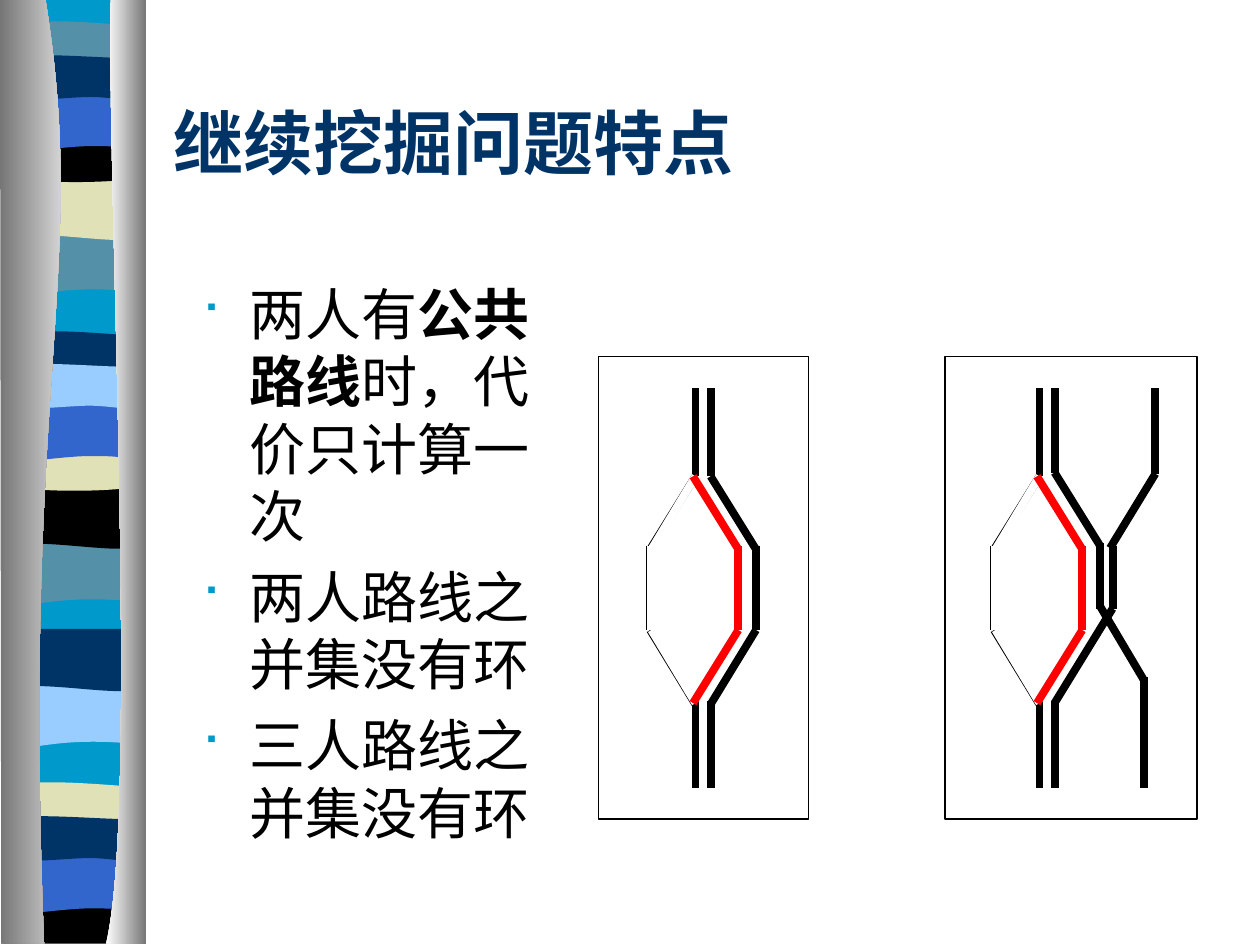
from lxml import etree
from pptx import Presentation
from pptx.dml.color import RGBColor
from pptx.enum.shapes import MSO_CONNECTOR, MSO_SHAPE
from pptx.enum.text import MSO_ANCHOR, MSO_AUTO_SIZE, PP_ALIGN
from pptx.oxml.ns import qn
from pptx.util import Inches, Pt

STRAIGHT = MSO_CONNECTOR.STRAIGHT
RECT = MSO_SHAPE.RECTANGLE
TOP, MIDDLE = MSO_ANCHOR.TOP, MSO_ANCHOR.MIDDLE
LEFT = PP_ALIGN.LEFT
NO_FIT = MSO_AUTO_SIZE.NONE

NAVY, SKY, TEAL, SAND = "003366", "0099CC", "5490A8", "E1E1B7"
BLUE, PALE, BLACK, WHITE = "3366CC", "99CCFF", "000000", "FFFFFF"
RED, GREY = "FF0000", "767676"

BAND_SHAPES = {
    "swell": [(1.08, 0), (1.08, 0.47), (0.33, 0.39, 0.18, 0.55, 0, 0.47), (0, 0)],
    "wave": [(1.08, 0), (1.08, 0.47), (0.9, 0.55, 0.33, 0.41, 0, 0.47), (0, 0)],
    "lens": [(1.08, 0), (1.08, 0.24), (0.9, 0.28, 0.18, 0.28, 0, 0.24), (0, 0),
             (0.06, -0.05, 0.23, -0.04, 0.41, -0.04),
             (0.59, -0.04, 0.94, -0.01, 1.08, 0)],
    "dip": [(1.08, 0), (1.08, 0.32), (0.9, 0.38, 0.18, 0.38, 0, 0.32), (0, 0),
            (0.66, 0.05, 0.85, 0, 1.08, 0)],
    "arch": [(1.08, 0), (1.08, 0.47), (0.91, 0.42, 0.84, 0.42, 0.66, 0.42),
             (0.48, 0.42, 0.16, 0.47, 0, 0.47), (0, 0)],
    "ripple": [(1.08, 0), (1.08, 0.31), (1.01, 0.36, 0.84, 0.31, 0.66, 0.31),
               (0.48, 0.31, 0.11, 0.36, 0, 0.31), (0, 0),
               (0.15, -0.05, 0.73, 0, 0.91, 0), (1.09, 0, 1.05, 0, 1.08, 0)],
    "foot": [(1.08, 0), (1.08, 0.37), (0.01, 0.37), (0, 0),
             (0.66, 0.05, 0.85, 0, 1.08, 0)],
}
BANDS = [
    ("swell", 0.06, 1.85, TEAL), ("wave", 0.06, 1.41, SAND),
    ("lens", 0.06, 0.21, TEAL), ("dip", 0.06, 1.08, BLACK),
    ("arch", 0.06, 0.74, BLUE), ("ripple", 0.06, 0.46, NAVY),
    ("swell", 0.05, 4.31, TEAL), ("wave", 0.05, 3.86, BLACK),
    ("lens", 0.05, 2.67, NAVY), ("dip", 0.05, 3.53, SAND),
    ("arch", 0.05, 3.2, BLUE), ("ripple", 0.05, 2.91, PALE),
    ("swell", 0.06, 5.44, PALE), ("wave", 0.06, 4.99, NAVY),
    ("lens", 0.05, 6.25, SAND), ("foot", 0.05, 7.12, BLACK),
    ("arch", 0.05, 6.79, BLUE), ("ripple", 0.05, 6.5, NAVY),
]
LEFT_COLUMN = [(0.36, -0.01), (0.71, 2.16, 0.17, 2.96, 0.35, 7.49),
               (0.01, 7.49), (0, -0.01)]
RIGHT_COLUMN = [(0.88, -0.01), (0.84, 1.25, 1.11, 6.46, 0.84, 7.49),
                (1.16, 7.49), (1.16, 0)]

BULLETS = [
    [("两人有", False), ("公共路线", True), ("时，代价只计算一次", False)],
    [("两人路线之并集没有环", False)],
    [("三人路线之并集没有环", False)],
]


def rgb(color):
    return RGBColor.from_string(color)


class Deck:
    title_font = {"name": "Roboto Condensed", "size": Pt(40), "bold": True}
    body_font = {"name": "Arial", "size": Pt(32)}
    frame_width, route_width = Pt(0.75), Pt(4.5)

    def __init__(self, prs):
        self.s = prs.slides.add_slide(prs.slide_layouts[5])

    def font(self, font, values, color):
        for name, value in values.items():
            setattr(font, name, value)
        font.color.rgb = rgb(color)

    def place(self, sp, x, y, w, h):
        values = {"left": x, "top": y, "width": w, "height": h}
        for name, value in values.items():
            setattr(sp, name, Inches(value))

    def frame_text(self, tf, anchor):
        values = {"word_wrap": True, "auto_size": NO_FIT, "vertical_anchor": anchor}
        for name, value in values.items():
            setattr(tf, name, value)

    def title(self, text, x, y, w, h):
        sp = self.s.shapes.title
        self.place(sp, x, y, w, h)
        self.frame_text(sp.text_frame, MIDDLE)
        p = sp.text_frame.paragraphs[0]
        p.alignment = LEFT
        r = p.add_run()
        r.text = text
        self.font(r.font, self.title_font, NAVY)

    def bullets(self, items, x, y, w, h):
        sp = self.s.shapes.add_textbox(Inches(x), Inches(y), Inches(w), Inches(h))
        tf = sp.text_frame
        self.frame_text(tf, TOP)
        for i, runs in enumerate(items):
            p = tf.add_paragraph() if i else tf.paragraphs[0]
            pPr = p._p.get_or_add_pPr()
            pPr.set("marL", str(Inches(0.38)))
            pPr.set("indent", str(Inches(-0.38)))
            color = etree.SubElement(pPr, qn("a:buClr"))
            etree.SubElement(color, qn("a:srgbClr"), val=SKY)
            etree.SubElement(pPr, qn("a:buSzPct"), val="80000")
            etree.SubElement(pPr, qn("a:buFont"), typeface="Wingdings", charset="2")
            etree.SubElement(pPr, qn("a:buChar"), char="■")
            p.space_before = Pt(8 if i else 0)
            for text, bold in runs:
                r = p.add_run()
                r.text = text
                self.font(r.font, {**self.body_font, "bold": bold}, BLACK)

    def outline(self, outline, colors, x=0, y=0):
        points = [(Inches(x + item[i]), Inches(y + item[i + 1]))
                  for item in outline for i in range(0, len(item), 2)]
        builder = self.s.shapes.build_freeform(*points[0])
        builder.add_line_segments(points[1:], close=False)
        sp = builder.convert_to_shape()
        self.curve(sp, outline)
        sp.shadow.inherit = False
        sp.line.fill.background()
        if len(colors) == 1:
            sp.fill.solid()
            sp.fill.fore_color.rgb = rgb(colors[0])
            return
        sp.fill.gradient()
        sp.fill.gradient_angle = 0
        for stop, color in zip(sp.fill.gradient_stops, colors):
            stop.color.rgb = rgb(color)

    def curve(self, sp, outline):
        segments = iter(list(sp._element.iter(qn("a:lnTo"))))
        for item in outline[1:]:
            first = next(segments)
            if len(item) == 6:
                bezier = etree.Element(qn("a:cubicBezTo"))
                first.addprevious(bezier)
                for segment in (first, next(segments), next(segments)):
                    bezier.append(segment[0])
                    segment.getparent().remove(segment)
                first = bezier
        etree.SubElement(first.getparent(), qn("a:close"))

    def frame(self, x, y, w, h):
        sp = self.s.shapes.add_shape(RECT, Inches(x), Inches(y), Inches(w), Inches(h))
        sp.shadow.inherit = False
        sp.fill.background()
        sp.line.color.rgb = rgb(BLACK)
        sp.line.width = self.frame_width

    def route(self, points, color=BLACK):
        for (x1, y1), (x2, y2) in zip(points, points[1:]):
            sp = self.s.shapes.add_connector(
                STRAIGHT, Inches(x1), Inches(y1), Inches(x2), Inches(y2))
            sp.line.color.rgb = rgb(color)
            sp.line.width = self.route_width
            etree.SubElement(sp._element.spPr, qn("a:effectLst"))

    def branch(self, tip, side, color=BLACK, end=5.58):
        self.route([(side, 4.33), (side, 5), (tip, end)], color)
        self.route([(side, 4.36), (tip, 3.78)], color)

    def stem(self, x, top=True):
        if top:
            self.route([(x, 3.78), (x, 3.08)])
        self.route([(x, 6.25), (x, 5.56)])

    def detour(self, x):
        self.branch(x, x - 0.35, WHITE)
        self.branch(x - 0.02, x + 0.34, RED)


def main():
    prs = Presentation()
    prs.slide_width, prs.slide_height = Inches(10), Inches(7.5)
    deck = Deck(prs)

    deck.outline([(1.14, -0.01), (1.14, 7.47), (0.06, 7.47), (0.06, -0.01)], [SKY])
    for shape, x, y, color in BANDS:
        deck.outline(BAND_SHAPES[shape], [color], x, y)
    deck.outline(LEFT_COLUMN, [GREY, WHITE])
    deck.outline(RIGHT_COLUMN, [WHITE, GREY])

    deck.title("继续挖掘问题特点", 1.28, 0.5, 8.5, 1.25)
    deck.bullets(BULLETS, 1.5, 2.17, 2.83, 4.92)

    two, three = 5.52, 8.25
    deck.frame(4.75, 2.83, 1.67, 3.67)
    deck.stem(two)
    deck.stem(two + 0.12)
    deck.branch(two, two - 0.36, end=5.59)
    deck.branch(two + 0.12, two + 0.48, end=5.59)

    deck.frame(7.5, 2.83, 2, 3.67)
    deck.stem(three)
    deck.stem(three + 0.12, top=False)
    deck.branch(three, three - 0.36, end=5.59)
    deck.route([(8.37, 3.08), (8.37, 3.75), (8.73, 4.33)])
    deck.route([(8.73, 4.31), (8.73, 4.83)])
    deck.route([(8.83, 4.33), (8.83, 4.83), (8.37, 5.58)])
    deck.route([(9.17, 3.08), (9.17, 3.76), (8.81, 4.35)])
    deck.route([(8.73, 4.81), (9.08, 5.4)])
    deck.route([(9.08, 5.37), (9.08, 6.25)])

    for x in (three, two):
        deck.detour(x)

    prs.save("out.pptx")


if __name__ == "__main__":
    main()
